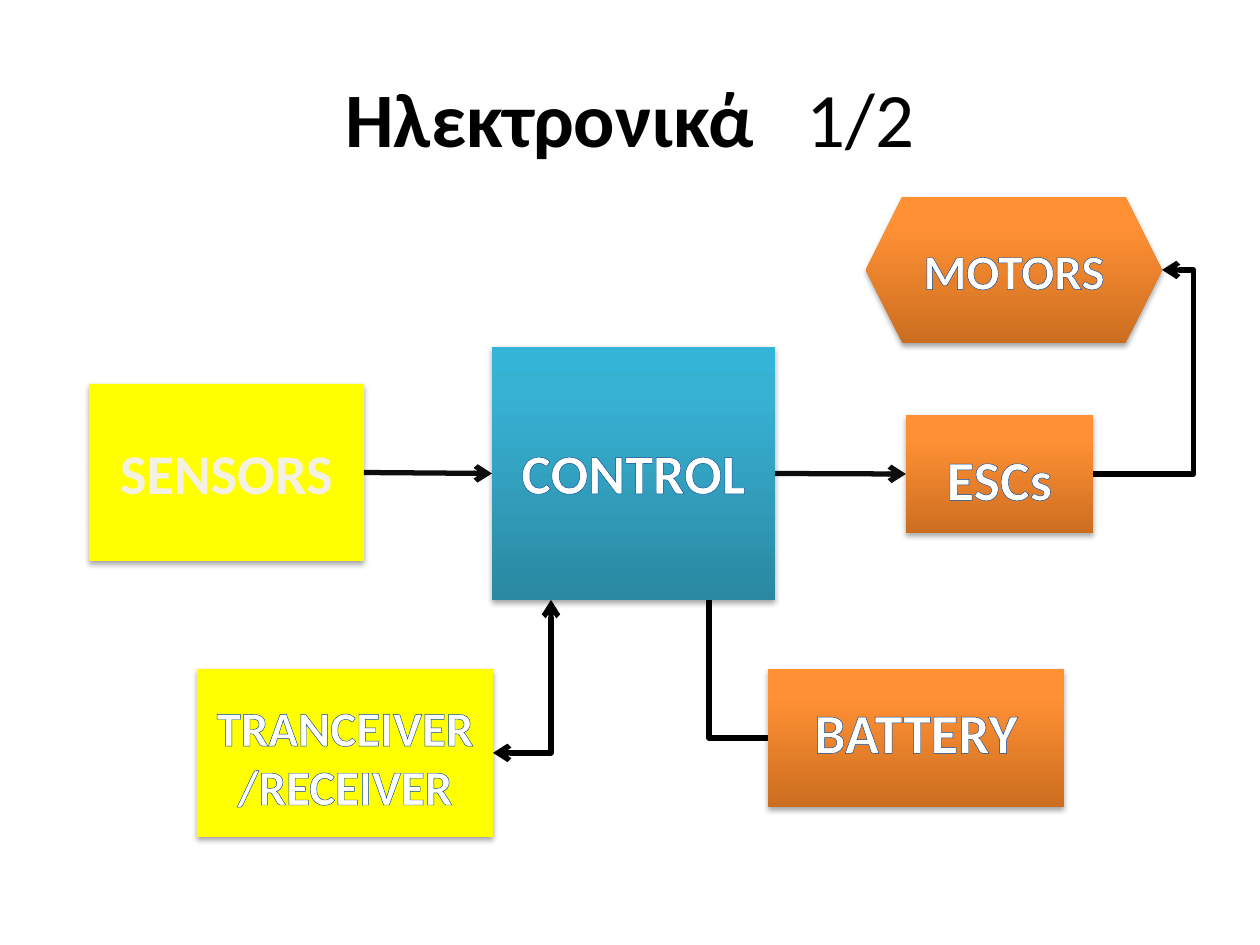
from copy import deepcopy

from lxml.etree import SubElement
from pptx import Presentation
from pptx.dml.color import RGBColor
from pptx.enum.shapes import MSO_CONNECTOR as CONN, MSO_SHAPE as SHAPE
from pptx.enum.text import MSO_ANCHOR as ANCHOR, PP_ALIGN as ALIGN
from pptx.oxml.ns import qn
from pptx.util import Emu, Pt

SCALE = 914400 / 126
COLORS = {
    "black": "000000", "line": "0D0D0D", "white": "FFFFFF", "cream": "F4F1E3",
    "yellow": "FFFF00", "outline": "054697",
}
GRADIENTS = {
    "blue": ("2A88A2", "37B1D2", "34B4D6"),
    "orange": ("CC6E20", "FF9034", "FF9136"),
}
STOPS = (0, 0.8, 1)
NODES = {
    "CONTROL": (SHAPE.RECTANGLE, (403, 150, 283, 253), "blue", "white", 32, -2),
    "ESCs": (SHAPE.RECTANGLE, (817, 218, 187, 118), "orange", "white", 32, 4),
    "MOTORS": (SHAPE.HEXAGON, (777, 0, 296, 146), "orange", "white", 28, 0),
    "SENSORS": (SHAPE.RECTANGLE, (0, 187, 275, 177), "yellow", "cream", 32, 0),
    "BATTERY": (SHAPE.RECTANGLE, (679, 472, 296, 138), "orange", "white", 32, -7),
    "TRANCEIVER/RECEIVER": (SHAPE.RECTANGLE, (108, 472, 296, 168), "yellow", "white", 28, 3),
}


def px(n):
    return Emu(round(n * SCALE))


def rgb(name):
    return RGBColor.from_string(COLORS[name])


def add_color(parent, color, **mods):
    clr = SubElement(parent, qn("a:srgbClr"), val=color)
    for tag, val in mods.items():
        SubElement(clr, qn(f"a:{tag}"), val=val)


def add_run(p, text, color, **formats):
    r = p.add_run()
    r.text = text
    r.font.color.rgb = rgb(color)
    for name, value in {"name": "Calibri", **formats}.items():
        setattr(r.font, name, value)
    return r


def set_frame(tf, **formats):
    for name, value in {"word_wrap": True, "vertical_anchor": ANCHOR.MIDDLE, **formats}.items():
        setattr(tf, name, value)
    p = tf.paragraphs[0]
    p.alignment = ALIGN.CENTER
    return p


def add_title(s, box):
    p = set_frame(s.shapes.add_textbox(*map(px, box)).text_frame)
    add_run(p, "Ηλεκτρονικά", "black", size=Pt(44), bold=True)
    gap = add_run(p, " ", "black", size=Pt(44), bold=False)
    gap.font._element.set("spc", "2000")
    add_run(p, "1/2", "black", size=Pt(44), bold=False)


def fill_gradient(sp, colors):
    sp.fill.gradient()
    sp.fill.gradient_angle = 90
    gs_list = sp._element.spPr.find(".//" + qn("a:gsLst"))
    gs_list.append(deepcopy(gs_list[-1]))
    for stop, position, color in zip(sp.fill.gradient_stops, STOPS, colors):
        stop.position = position
        stop.color.rgb = RGBColor.from_string(color)


def add_shadow(sp):
    sp.shadow.inherit = False
    effects = sp._element.spPr.find(qn("a:effectLst"))
    shadow = SubElement(effects, qn("a:outerShdw"), blurRad="40000", dist="23000",
                        dir="5400000", rotWithShape="0")
    add_color(shadow, COLORS["black"], alpha="35000")


def outline_text(r):
    r_pr = r.font._element
    ln = SubElement(r_pr, qn("a:ln"), w="12700")
    add_color(SubElement(ln, qn("a:solidFill")), COLORS["outline"])
    r_pr.insert(0, ln)


def add_node(s, box, kind, text, fill, color, size, shift):
    sp = s.shapes.add_shape(kind, *map(px, box))
    if fill in GRADIENTS:
        fill_gradient(sp, GRADIENTS[fill])
    else:
        sp.fill.solid()
        sp.fill.fore_color.rgb = rgb(fill)
    sp.line.fill.background()
    add_shadow(sp)
    p = set_frame(sp.text_frame, margin_top=px(6 + shift), margin_bottom=px(6 - shift))
    outline_text(add_run(p, text, color, size=Pt(size), bold=True))
    return sp


def add_link(s, start, end, kind=CONN.STRAIGHT, color="black", preset=None, adj=None, arrows=()):
    c = s.shapes.add_connector(kind, *map(px, (*start, *end)))
    c.line.width = Pt(3)
    c.line.color.rgb = rgb(color)
    sp_pr = c._element.spPr
    for side in arrows:
        SubElement(sp_pr.find(qn("a:ln")), qn(f"a:{side}"), type="arrow")
    SubElement(sp_pr, qn("a:effectLst"))
    geom = sp_pr.find(qn("a:prstGeom"))
    if preset:
        geom.set("prst", preset)
    if adj:
        SubElement(geom.find(qn("a:avLst")), qn("a:gd"), name="adj1", fmla=f"val {adj}")
    return c


def middle(box, side):
    x, y, w, h = box
    return (x + w if side == 3 else x), y + h / 2


def add_diagram(s, box):
    left, top = box[:2]
    boxes, shapes = {}, {}
    for text, (kind, (x, y, w, h), *style) in NODES.items():
        boxes[text] = (left + x, top + y, w, h)
        shapes[text] = add_node(s, boxes[text], kind, text, *style)

    for a, b in (("SENSORS", "CONTROL"), ("CONTROL", "ESCs")):
        c = add_link(s, middle(boxes[a], 3), middle(boxes[b], 1), color="line", arrows=["tailEnd"])
        c.begin_connect(shapes[a], 3)
        c.end_connect(shapes[b], 1)

    add_link(s, middle(boxes["ESCs"], 3), middle(boxes["MOTORS"], 3), CONN.ELBOW,
             adj=145700, arrows=["tailEnd"])
    x, y, w, h = boxes["CONTROL"]
    add_link(s, middle(boxes["BATTERY"], 1), (x + 217, y + h), CONN.ELBOW,
             preset="bentConnector2")
    add_link(s, middle(boxes["TRANCEIVER/RECEIVER"], 3), (x + 59, y + h), CONN.ELBOW,
             preset="bentConnector2", arrows=["headEnd", "tailEnd"])


def main():
    prs = Presentation()
    prs.slide_width, prs.slide_height = px(1260), px(945)
    s = prs.slides.add_slide(prs.slide_layouts[6])
    add_title(s, (63, 38, 1134, 157))
    add_diagram(s, (89, 197, 1107, 640))
    prs.save("out.pptx")


if __name__ == "__main__":
    main()
